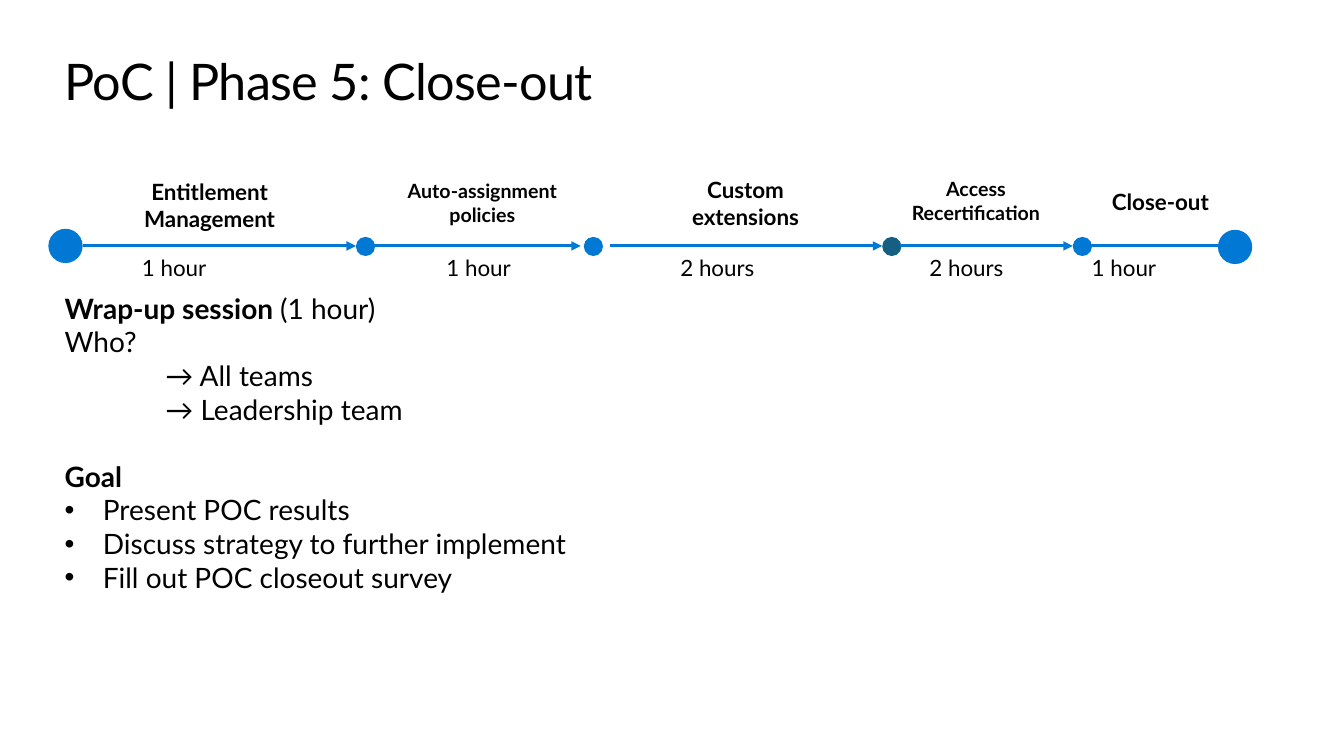
"""Build the phase 5 close-out slide with its timeline."""
from pptx import Presentation
from pptx.dml.color import RGBColor as Rgb
from pptx.enum.shapes import MSO_CONNECTOR as Link, MSO_SHAPE as Form
from pptx.enum.text import MSO_ANCHOR as Anchor, MSO_AUTO_SIZE as Auto, PP_ALIGN as Align
from pptx.oxml.ns import qn
from pptx.util import Pt
from lxml.etree import SubElement as Sub

PX = 9144
FONT = "Lato"
HUE = {"text": "000000", "blue": "0078D4", "teal": "156082"}
TITLE = "PoC | Phase 5: Close-out"
TITLE_BOX = (64, 50, 1205, 61)
BODY_BOX = (64, 289, 1109, 303)

BODY = [
    ("plain", [("Wrap-up session ", True), ("(1 hour)", False)]),
    ("plain", [("Who?", False)]),
    ("deep", [("→ All teams", False)]),
    ("deep", [("→ Leadership team", False)]),
    ("head", [("Goal", True)]),
    ("bullet", [("Present POC results", False)]),
    ("bullet", [("Discuss strategy to further implement", False)]),
    ("bullet", [("Fill out POC closeout survey", False)]),
]
STEPS = [
    ("Entitlement Management", (103, 172, 210, 64), 16, Align.CENTER),
    ("Auto-assignment policies", (385, 173, 187, 57), 14, Align.CENTER),
    ("Custom extensions", (646, 170, 187, 64), 16, Align.CENTER),
    ("Access Recertification", (863, 171, 210, 57), 14, Align.CENTER),
    ("Close-out", (1093, 182, 131, 37), 16, Align.LEFT),
]
TIMES = [("1 hour", 131), ("1 hour", 433), ("2 hours", 665), ("2 hours", 912), ("1 hour", 1073)]
TIME_TOP, TIME_W, TIME_H = 247, 94, 37
DOTS = [
    (48, 227, 34, "blue"), (353, 235, 19, "blue"), (579, 235, 19, "blue"),
    (875, 235, 19, "teal"), (1064, 235, 19, "blue"), (1208, 228, 34, "blue"),
]
ARROWS = [(82, 353), (370, 576), (605, 875), (893, 1064), (1064, 1227)]
AXIS = 244


def emu(vals):
    return [v * PX for v in vals]


def style(font, size, bold=False):
    for key, val in {"name": FONT, "size": Pt(size), "bold": bold}.items():
        setattr(font, key, val)
    font.color.rgb = Rgb.from_string(HUE["text"])


def setup(frame, pad=None):
    vals = {"word_wrap": True, "auto_size": Auto.NONE, "vertical_anchor": Anchor.TOP}
    if pad is not None:
        vals |= {f"margin_{side}": pad for side in ("left", "top", "right", "bottom")}
    for key, val in vals.items():
        setattr(frame, key, val)


def label(slide, text, box, size, bold=False, align=Align.LEFT):
    frame = slide.shapes.add_textbox(*emu(box)).text_frame
    setup(frame)
    para = frame.paragraphs[0]
    para.alignment = align
    run = para.add_run()
    run.text = text
    style(run.font, size, bold)


def add_title(slide):
    title = slide.shapes.title
    title.left, title.top, title.width, title.height = emu(TITLE_BOX)
    setup(title.text_frame, 0)
    para = title.text_frame.paragraphs[0]
    para.alignment = Align.LEFT
    run = para.add_run()
    run.text = TITLE
    style(run.font, 36)
    run.font._element.set("spc", "-50")


def add_body(slide):
    frame = slide.shapes.add_textbox(*emu(BODY_BOX)).text_frame
    setup(frame, 0)
    for i, (kind, runs) in enumerate(BODY):
        para = frame.add_paragraph() if i else frame.paragraphs[0]
        props = para._p.get_or_add_pPr()
        if kind == "deep":
            props.set("marL", str(100 * PX))
        elif kind == "head":
            para.space_before = Pt(24)
        elif kind == "bullet":
            props.set("marL", str(38 * PX))
            props.set("indent", str(-38 * PX))
            Sub(props, qn("a:buFont"), typeface="Arial")
            Sub(props, qn("a:buChar"), char="•")
        for text, bold in runs:
            run = para.add_run()
            run.text = text
            style(run.font, 20, bold)


def add_dot(slide, left, top, size, hue):
    dot = slide.shapes.add_shape(Form.OVAL, *emu((left, top, size, size)))
    dot.shadow.inherit = False
    dot.fill.solid()
    dot.fill.fore_color.rgb = Rgb.from_string(HUE[hue])
    dot.line.fill.background()


def add_arrow(slide, start, end):
    arrow = slide.shapes.add_connector(Link.STRAIGHT, *emu((start, AXIS, end, AXIS)))
    arrow.line.color.rgb = Rgb.from_string(HUE["blue"])
    arrow.line.width = Pt(2.25)
    Sub(arrow.line._get_or_add_ln(), qn("a:tailEnd"), type="triangle")
    Sub(arrow._element.spPr, qn("a:effectLst"))


def main():
    deck = Presentation()
    deck.slide_width, deck.slide_height = emu((1333, 750))
    slide = deck.slides.add_slide(deck.slide_layouts[5])
    add_title(slide)
    add_body(slide)
    for dot in DOTS:
        add_dot(slide, *dot)
    for ends in ARROWS:
        add_arrow(slide, *ends)
    for text, box, size, align in STEPS:
        label(slide, text, box, size, True, align)
    for text, left in TIMES:
        label(slide, text, (left, TIME_TOP, TIME_W, TIME_H), 16)
    deck.save("out.pptx")


if __name__ == "__main__":
    main()
